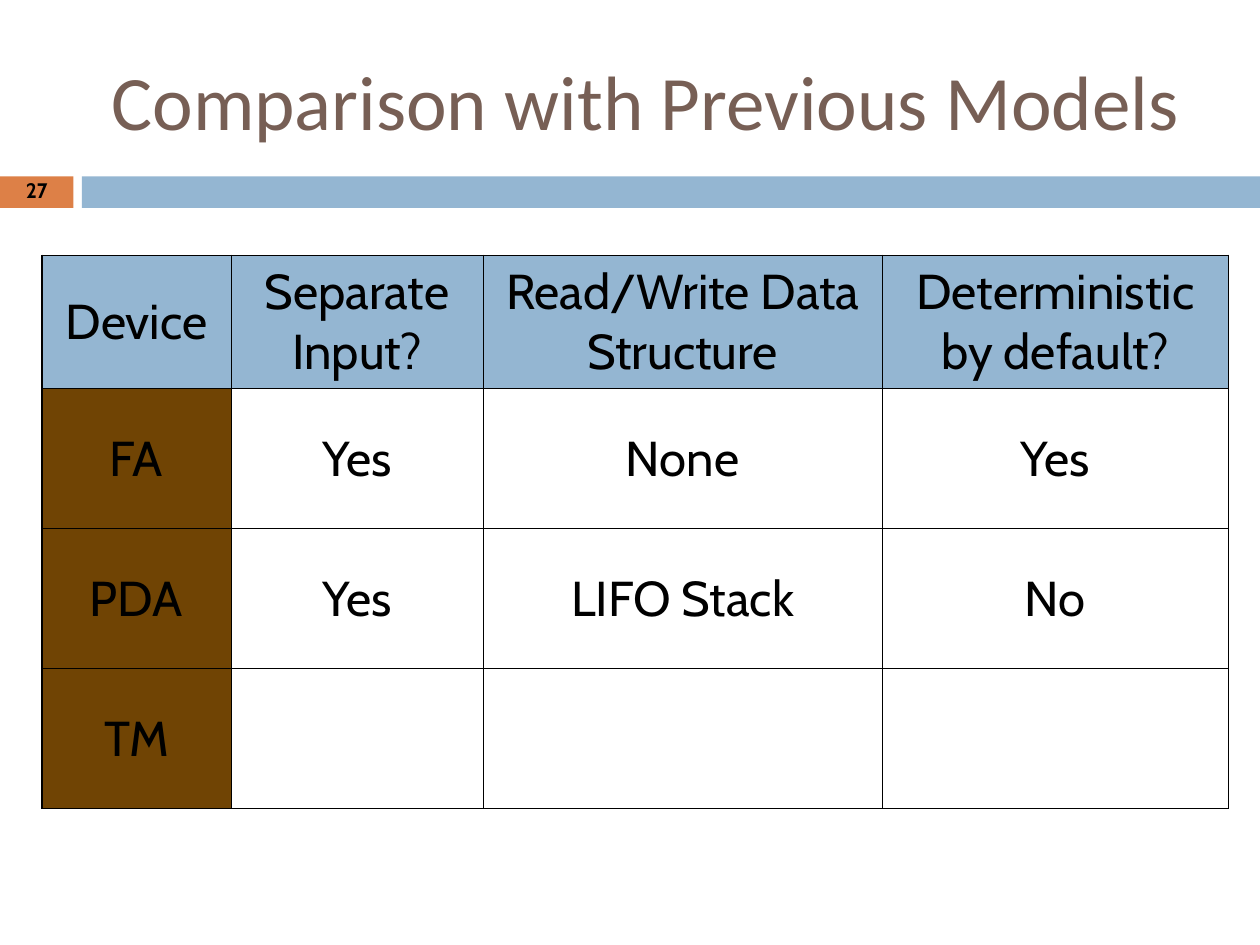
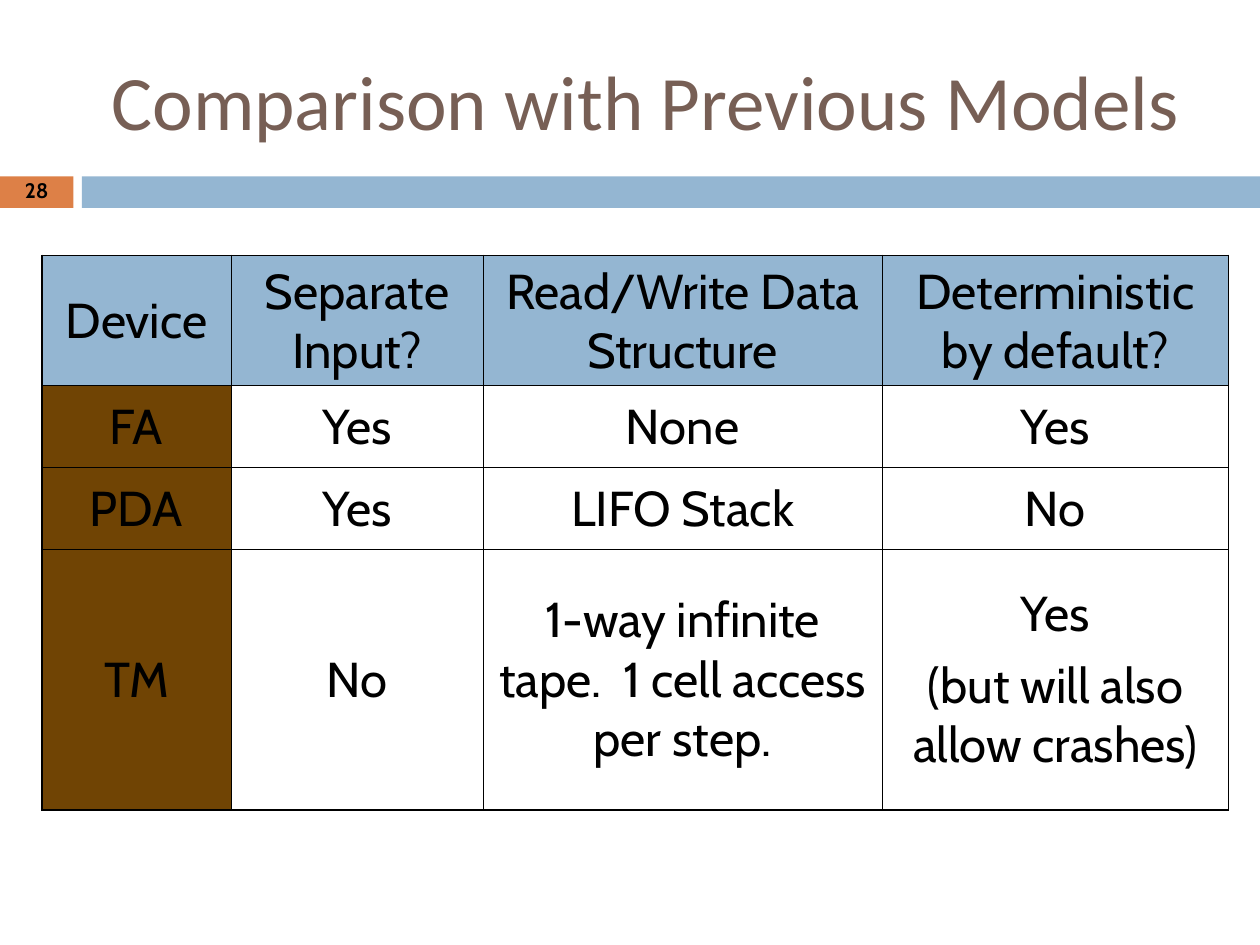
"""Build two slides comparing Turing machines with earlier automata."""
from lxml import etree
from pptx import Presentation
from pptx import util as u
from pptx.dml.color import RGBColor
from pptx.enum import shapes, text
from pptx.oxml.ns import qn

BLACK = RGBColor(0x00, 0x00, 0x00)
BLUE = RGBColor(0x94, 0xB6, 0xD2)
ORANGE = RGBColor(0xDD, 0x80, 0x47)
BROWN = RGBColor(0x70, 0x44, 0x04)
TAUPE = RGBColor(0x77, 0x5F, 0x55)
BODY_FONT, TITLE_FONT = "Cabin", "Calibri"
THIN, THICK = 0.45, 1.08

GRID_COLUMNS, GRID_ROWS = 120, 90
TITLE = "Comparison with Previous Models"
HEADER = ["Device", "Separate Input?", "Read/Write Data Structure", "Deterministic by default?"]
KNOWN_MODELS = [["FA", "Yes", "None", "Yes"], ["PDA", "Yes", "LIFO Stack", "No"]]
TURING_OPEN = ["TM", "", "", ""]
TURING_ANSWER = ["TM", "No", "1-way infinite tape.  1 cell access per step.",
                 "Yes\n(but will also allow crashes)"]
TABLE_COLUMNS = [18, 24, 38, 33]
SLIDES = [
    (27, TURING_OPEN, [12.7, 13.33, 13.33, 13.33]),
    (28, TURING_ANSWER, [12.4, 7.8, 7.8, 24.8]),
]


def write(frame, content, size=28, font=BODY_FONT, color=BLACK, bold=False, spacing=None, gap=7):
    """Fill a text frame with centred paragraphs, one per line of content."""
    for index, line in enumerate(content.split("\n")):
        para = frame.add_paragraph() if index else frame.paragraphs[0]
        para.alignment = text.PP_ALIGN.CENTER
        para.space_before = u.Pt(gap if index else 0)
        if spacing:
            para.line_spacing = spacing
        span = para.add_run()
        span.text = line
        span.font.size = u.Pt(size)
        span.font.name = font
        span.font.bold = bold
        span.font.color.rgb = color


def set_borders(cell, widths):
    """Draw black cell borders from widths keyed by side."""
    properties = cell._tc.get_or_add_tcPr()
    for side, width in widths.items():
        line = etree.SubElement(properties, qn(f"a:ln{side}"), w=str(u.Pt(width)))
        fill = etree.SubElement(line, qn("a:solidFill"))
        etree.SubElement(fill, qn("a:srgbClr"), val=str(BLACK))


class Composer:
    """Hold the shared style and draw elements on the current slide."""

    def __init__(self, deck):
        """Derive the grid unit from the slide size."""
        self.deck = deck
        self.column = deck.slide_width / GRID_COLUMNS
        self.row = deck.slide_height / GRID_ROWS
        self.page = None

    def place(self, left, top, width, height):
        """Convert grid columns and rows to lengths."""
        return (round(left * self.column), round(top * self.row),
                round(width * self.column), round(height * self.row))

    def start(self, title, number):
        """Add a slide with its title, band and number."""
        self.page = self.deck.slides.add_slide(self.deck.slide_layouts[5])
        self.title(title)
        self.band(0, 7, ORANGE)
        self.band(7.8, GRID_COLUMNS - 7.8, BLUE)
        self.number(number)

    def title(self, content):
        """Move and format the title placeholder."""
        box = self.page.shapes.title
        box.left, box.top, box.width, box.height = self.place(8, 3, 107, 13)
        frame = box.text_frame
        frame.auto_size = text.MSO_AUTO_SIZE.NONE
        frame.vertical_anchor = text.MSO_ANCHOR.MIDDLE
        write(frame, content, size=44, font=TITLE_FONT, color=TAUPE)

    def band(self, left, width, color):
        """Draw one part of the band below the title."""
        box = self.page.shapes.add_shape(
            shapes.MSO_SHAPE.RECTANGLE, *self.place(left, 16.8, width, 3))
        box.shadow.inherit = False
        box.fill.solid()
        box.fill.fore_color.rgb = color
        box.line.fill.background()

    def number(self, value):
        """Write the slide number on the orange band."""
        box = self.page.shapes.add_textbox(*self.place(0, 16.7, 7, 3.2))
        frame = box.text_frame
        frame.word_wrap = True
        frame.vertical_anchor = text.MSO_ANCHOR.MIDDLE
        write(frame, str(value), size=12, bold=True, spacing=0.8)

    def table(self, rows, heights):
        """Add the comparison table with a header row and a device column."""
        last_row, last_column = len(rows) - 1, len(TABLE_COLUMNS) - 1
        area = self.place(4, 24.33, sum(TABLE_COLUMNS), sum(heights))
        table = self.page.shapes.add_table(len(rows), len(TABLE_COLUMNS), *area).table
        table.first_row = table.horz_banding = False
        for column, width in zip(table.columns, TABLE_COLUMNS):
            column.width = round(width * self.column)
        for row, height in zip(table.rows, heights):
            row.height = round(height * self.row)
        for y, row in enumerate(rows):
            for x, content in enumerate(row):
                cell = table.cell(y, x)
                edges = {"L": x == 0, "R": x == last_column, "T": y == 0, "B": y == last_row}
                set_borders(cell, {side: THICK if outer else THIN for side, outer in edges.items()})
                self.fill_cell(cell, BLUE if y == 0 else BROWN if x == 0 else None)
                cell.vertical_anchor = text.MSO_ANCHOR.MIDDLE
                if content:
                    write(cell.text_frame, content)

    def fill_cell(self, cell, color):
        """Give a cell a solid colour or no fill."""
        if color is None:
            cell.fill.background()
        else:
            cell.fill.solid()
            cell.fill.fore_color.rgb = color


def main():
    """Build and save the deck."""
    deck = Presentation()
    deck.slide_width, deck.slide_height = u.Inches(10), u.Inches(7.5)
    composer = Composer(deck)
    for number, turing_row, heights in SLIDES:
        composer.start(TITLE, number)
        composer.table([HEADER, *KNOWN_MODELS, turing_row], heights)
    deck.save("out.pptx")


if __name__ == "__main__":
    main()
